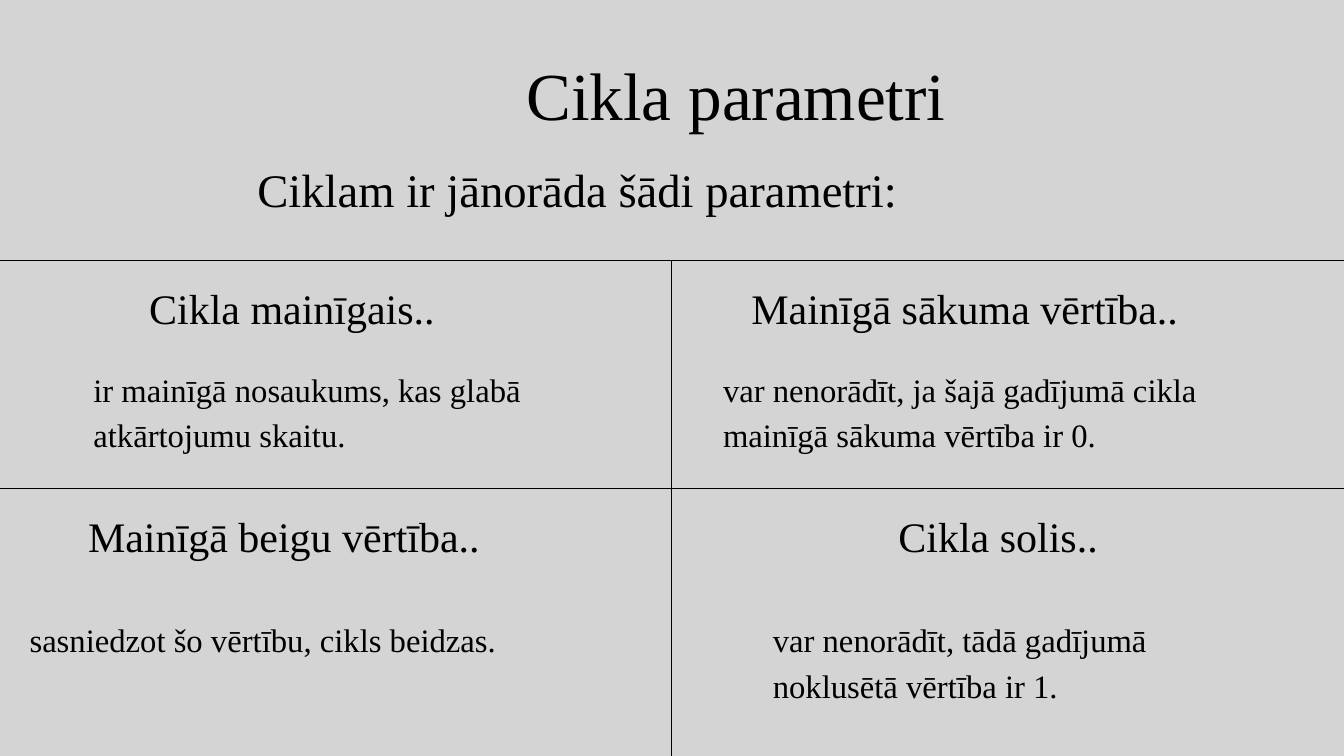
from dataclasses import dataclass

from lxml import etree
from pptx import Presentation
from pptx.dml.color import RGBColor
from pptx.enum.shapes import MSO_CONNECTOR
from pptx.enum.text import MSO_ANCHOR, MSO_AUTO_SIZE, PP_ALIGN
from pptx.oxml.ns import qn
from pptx.util import Pt

STRAIGHT = MSO_CONNECTOR.STRAIGHT
TOP = MSO_ANCHOR.TOP
FIT_SHAPE = MSO_AUTO_SIZE.SHAPE_TO_FIT_TEXT
LEFT, RIGHT = PP_ALIGN.LEFT, PP_ALIGN.RIGHT

PAGE_WIDTH, PAGE_HEIGHT = 1440, 810
TITLE_ONLY = 5
FONT = "Times New Roman"
BLACK, GREY = "000000", "D4D4D4"
COLUMN_LINE = 719.3
ROW_LINES = (278.6, 523.4)
HEADING_TOPS = (302.4, 547.2)
DETAIL_TOPS = (388.8, 657.4)


@dataclass
class Parameter:
    row: int
    heading: str
    heading_left: float
    heading_width: float
    detail: str
    detail_left: float
    detail_width: float
    detail_lines: int = 2


PARAMETERS = [
    Parameter(0, "Cikla mainīgais..", 159.8, 370.8,
              "ir mainīgā nosaukums, kas glabā atkārtojumu skaitu.", 100.1, 563.8),
    Parameter(0, "Mainīgā sākuma vērtība..", 805, 553.7,
              "var nenorādīt, ja šajā gadījumā cikla mainīgā sākuma vērtība ir 0.", 774.7, 609.1),
    Parameter(1, "Mainīgā beigu vērtība..", 94.3, 502.6,
              "sasniedzot šo vērtību, cikls beidzas.", 31.7, 628.6, 1),
    Parameter(1, "Cikla solis..", 962.6, 239,
              "var nenorādīt, tādā gadījumā noklusētā vērtība ir 1.", 828, 531.4),
]


def color(value: str) -> RGBColor:
    return RGBColor.from_string(value)


def write_text(box, text: str, *, left: float, top: float, width: float, height: float,
               size: float, spacing: float, align=LEFT) -> None:
    box.left, box.top, box.width, box.height = Pt(left), Pt(top), Pt(width), Pt(height)
    frame = box.text_frame
    frame.word_wrap = True
    frame.auto_size = FIT_SHAPE
    frame.vertical_anchor = TOP
    frame.margin_left = frame.margin_top = frame.margin_right = frame.margin_bottom = 0
    para = frame.paragraphs[0]
    para.alignment = align
    para.line_spacing = Pt(spacing)
    span = para.add_run()
    span.text = text
    span.font.name = FONT
    span.font.size = Pt(size)
    span.font.color.rgb = color(BLACK)


def add_text(page, text: str, **layout) -> None:
    write_text(page.shapes.add_textbox(0, 0, 0, 0), text, **layout)


def add_divider(page, x1: float, y1: float, x2: float, y2: float) -> None:
    divider = page.shapes.add_connector(STRAIGHT, Pt(x1), Pt(y1), Pt(x2), Pt(y2))
    divider.line.width = Pt(0.75)
    divider.line.color.rgb = color(BLACK)
    etree.SubElement(divider._element.spPr, qn("a:effectLst"))


def add_parameter(page, parameter: Parameter) -> None:
    add_text(page, parameter.heading, left=parameter.heading_left,
             top=HEADING_TOPS[parameter.row], width=parameter.heading_width,
             height=54, size=45, spacing=54)
    add_text(page, parameter.detail, left=parameter.detail_left,
             top=DETAIL_TOPS[parameter.row], width=parameter.detail_width,
             height=49 * parameter.detail_lines, size=35, spacing=49)


def main() -> None:
    deck = Presentation()
    deck.slide_width, deck.slide_height = Pt(PAGE_WIDTH), Pt(PAGE_HEIGHT)
    page = deck.slides.add_slide(deck.slide_layouts[TITLE_ONLY])
    page.background.fill.solid()
    page.background.fill.fore_color.rgb = color(GREY)

    write_text(page.shapes.title, "Cikla parametri", left=426.2, top=57.6, width=587.5,
               height=86.4, size=72, spacing=86.4, align=RIGHT)
    add_text(page, "Ciklam ir jānorāda šādi parametri:", left=275.8, top=172.1,
             width=888.5, height=60, size=50, spacing=60)
    for parameter in PARAMETERS:
        add_parameter(page, parameter)
    add_divider(page, COLUMN_LINE, ROW_LINES[0], COLUMN_LINE, PAGE_HEIGHT)
    for y in ROW_LINES:
        add_divider(page, 0, y, PAGE_WIDTH, y)

    deck.save("out.pptx")


if __name__ == "__main__":
    main()
